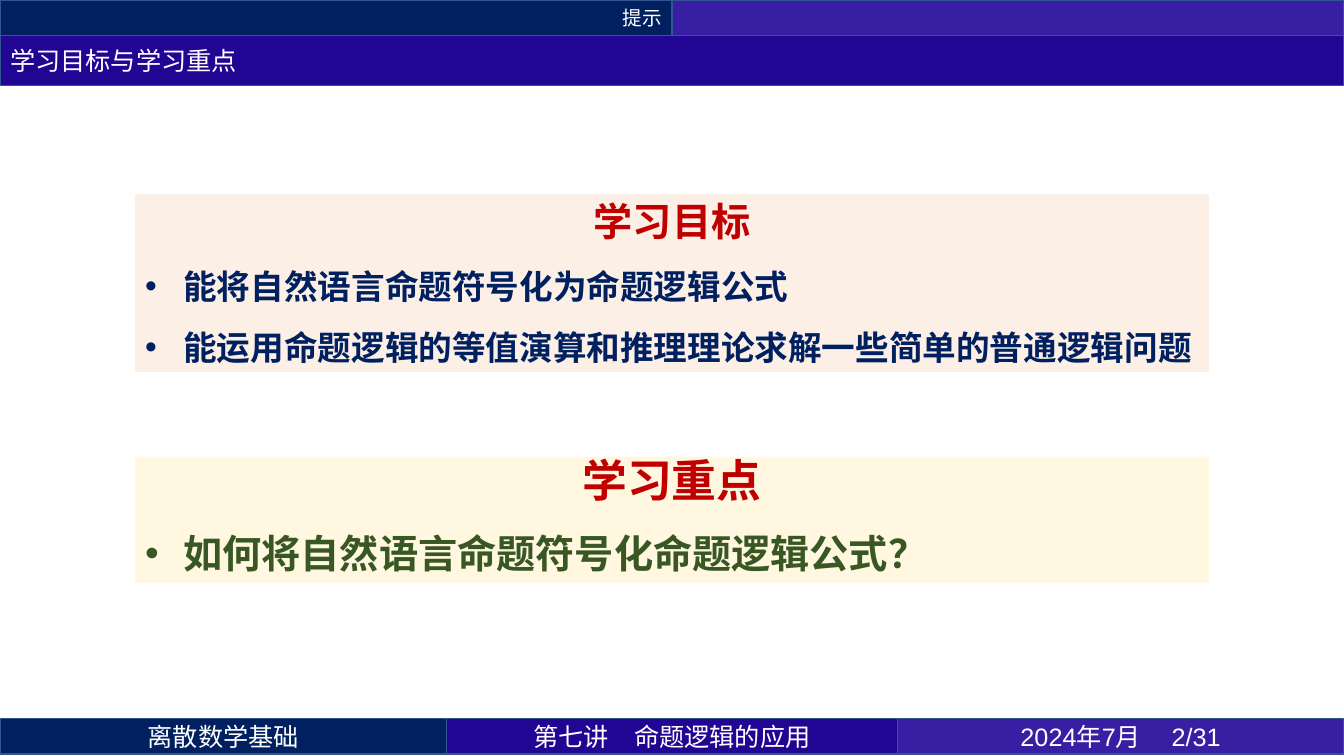
from lxml import etree
from pptx import Presentation
from pptx.dml.color import RGBColor
from pptx.enum.shapes import MSO_SHAPE
from pptx.enum.text import MSO_ANCHOR, MSO_AUTO_SIZE, PP_ALIGN
from pptx.oxml.ns import qn
from pptx.util import Inches, Pt

RECT = MSO_SHAPE.RECTANGLE
LEFT, MID, RIGHT = PP_ALIGN.LEFT, PP_ALIGN.CENTER, PP_ALIGN.RIGHT
HAN = "Noto Sans CJK SC"
WIDE, HIGH = 13.33, 7.5
BAR = 0.35
FOOT = 7.13
NAVY, BLUE, VIOLET = "002060", "210694", "371EA2"
WHITE, RED, GREEN, EDGE = "FFFFFF", "C00000", "385723", "325491"


def style(shape, box, fill, edge=None, alpha=None):
    """Place a shape and set its fill and outline; alpha is a percentage."""
    shape.left, shape.top, shape.width, shape.height = map(Inches, box)
    shape.shadow.inherit = False
    shape.fill.solid()
    shape.fill.fore_color.rgb = RGBColor.from_string(fill)
    if alpha:
        color = shape.fill._xPr.find(f".//{qn('a:srgbClr')}")
        etree.SubElement(color, qn("a:alpha"), val=str(alpha * 1000))
    if edge:
        shape.line.color.rgb = RGBColor.from_string(edge)
        shape.line.width = Pt(1)
    else:
        shape.line.fill.background()
    return shape


def write(para, text, size=18, color=WHITE, font=HAN, bold=False, align=MID, bullet=False):
    para.alignment = align
    if bullet:
        props = para._p.get_or_add_pPr()
        props.set("marL", str(Inches(0.38)))
        props.set("indent", str(-Inches(0.38)))
        etree.SubElement(props, qn("a:buFont"), typeface="Arial")
        etree.SubElement(props, qn("a:buChar"), char="•")
    run = para.add_run()
    run.text = text
    run.font.size = Pt(size)
    run.font.bold = bold
    run.font.color.rgb = RGBColor.from_string(color)
    run.font.name = font
    latin = run.font._element.find(qn("a:latin"))
    latin.addnext(etree.Element(qn("a:ea"), typeface=HAN))


deck = Presentation()
deck.slide_width, deck.slide_height = Inches(WIDE), Inches(HIGH)
slide = deck.slides.add_slide(deck.slide_layouts[5])

# Title band
title = style(slide.shapes.title, (0, BAR, WIDE, 0.5), BLUE, EDGE)
frame = title.text_frame
frame.auto_size = MSO_AUTO_SIZE.NONE
frame.vertical_anchor = MSO_ANCHOR.MIDDLE
write(frame.paragraphs[0], "学习目标与学习重点", align=LEFT)

# Header and footer bars
half, side = WIDE / 2, 4.43
bars = [
    (0, 0, half, NAVY, "提示", dict(size=14, align=RIGHT)),
    (half, 0, half, VIOLET, "", {}),
    (0, FOOT, side, NAVY, "离散数学基础", {}),
    (side, FOOT, WIDE - 2 * side, BLUE, "第七讲\t命题逻辑的应用", {}),
    (WIDE - side, FOOT, side, VIOLET, "2024年7月 \t2/31", dict(font="Arial")),
]
for left, top, width, fill, text, form in bars:
    bar = style(slide.shapes.add_shape(RECT, 0, 0, 0, 0), (left, top, width, BAR), fill, EDGE)
    bar.text_frame.vertical_anchor = MSO_ANCHOR.MIDDLE
    if text:
        write(bar.text_frame.paragraphs[0], text, **form)

# Cards: top, height, fill, gap before, heading, heading size, items, item size, item color
cards = [
    (1.93, 1.76, "FBE5D6", 6, "学习目标", 28,
     ["能将自然语言命题符号化为命题逻辑公式",
      "能运用命题逻辑的等值演算和推理理论求解一些简单的普通逻辑问题"], 24, NAVY),
    (4.53, 1.25, "FFF2CC", 12, "学习重点", 32,
     ["如何将自然语言命题符号化命题逻辑公式？"], 28, GREEN),
]
for top, height, fill, gap, head, large, items, size, color in cards:
    card = style(slide.shapes.add_shape(RECT, 0, 0, 0, 0), (1.34, top, 10.65, height), fill, alpha=60)
    frame = card.text_frame
    frame.word_wrap = True
    frame.auto_size = MSO_AUTO_SIZE.SHAPE_TO_FIT_TEXT
    frame.vertical_anchor = MSO_ANCHOR.TOP
    write(frame.paragraphs[0], head, size=large, color=RED, bold=True)
    for item in items:
        para = frame.add_paragraph()
        write(para, item, size=size, color=color, font="Arial", bold=True, align=LEFT, bullet=True)
        para.space_before = Pt(gap)
    for para in frame.paragraphs:
        para.line_spacing = Pt(32)
        para.space_after = Pt(6)

deck.save("out.pptx")
